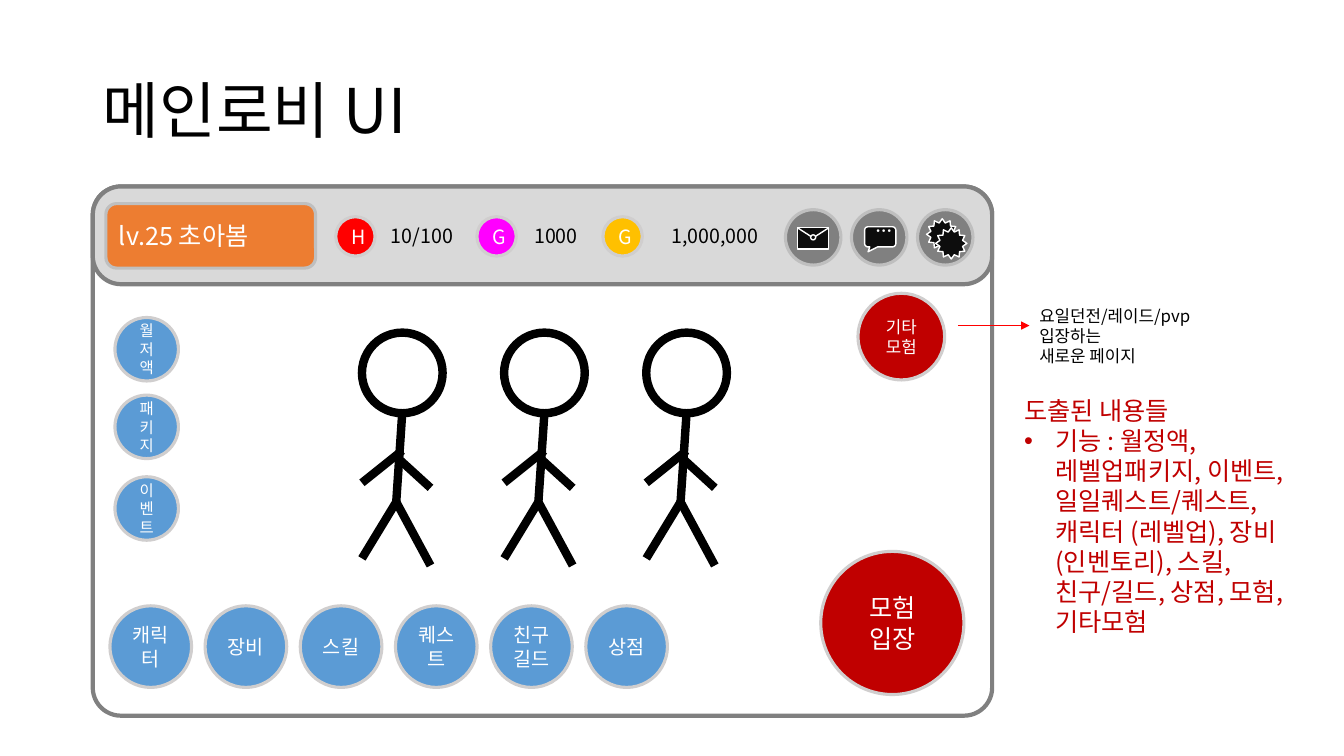
from lxml.etree import SubElement
from pptx import Presentation
from pptx.dml.color import RGBColor
from pptx.enum.shapes import MSO_CONNECTOR, MSO_SHAPE
from pptx.enum.text import MSO_ANCHOR, PP_ALIGN
from pptx.oxml.ns import qn
from pptx.util import Inches, Pt

FONT = "Noto Sans CJK KR"
BLACK = RGBColor(0x00, 0x00, 0x00)
WHITE = RGBColor(0xFF, 0xFF, 0xFF)
INK = RGBColor(0x0D, 0x0D, 0x0D)
GRAY = RGBColor(0x80, 0x80, 0x80)
SILVER = RGBColor(0xBF, 0xBF, 0xBF)
BAR_GRAY = RGBColor(0xD9, 0xD9, 0xD9)
RIM = RGBColor(0xD0, 0xCE, 0xCE)
RED = RGBColor(0xFF, 0x00, 0x00)
DARK_RED = RGBColor(0xC0, 0x00, 0x00)
BLUE = RGBColor(0x5B, 0x9B, 0xD5)
MAGENTA = RGBColor(0xFF, 0x00, 0xFF)
GOLD = RGBColor(0xFF, 0xC0, 0x00)
ORANGE = RGBColor(0xED, 0x7D, 0x31)


def write_text(shape, text, size, color, align=PP_ALIGN.LEFT, anchor=MSO_ANCHOR.TOP, bold=False):
    """Fill the shape with one paragraph per line of text."""
    frame = shape.text_frame
    frame.text = text
    frame.word_wrap = True
    frame.vertical_anchor = anchor
    for paragraph in frame.paragraphs:
        paragraph.alignment = align
        for run in paragraph.runs:
            for name, value in {"name": FONT, "size": Pt(size), "bold": bold}.items():
                setattr(run.font, name, value)
            run.font.color.rgb = color
            SubElement(run.font._element, qn("a:ea"), typeface=FONT)


def add_figure(slide, kind, box, fill, line, width, adjustments=()):
    shape = slide.shapes.add_shape(kind, *(Inches(length) for length in box))
    shape.shadow.inherit = False
    if fill is None:
        shape.fill.background()
    else:
        shape.fill.solid()
        shape.fill.fore_color.rgb = fill
    shape.line.color.rgb = line
    shape.line.width = Pt(width)
    for index, value in enumerate(adjustments):
        shape.adjustments[index] = value
    return shape


def add_button(slide, left, top, size, fill, text, text_size):
    button = add_figure(slide, MSO_SHAPE.OVAL, (left, top, size, size), fill, RIM, 2.25)
    write_text(button, text, text_size, WHITE, PP_ALIGN.CENTER, MSO_ANCHOR.MIDDLE)


def add_label(slide, box, text, size, color):
    label = slide.shapes.add_textbox(*(Inches(length) for length in box))
    write_text(label, text, size, color)
    return label


def add_line(slide, start, end, color, width):
    line = slide.shapes.add_connector(
        MSO_CONNECTOR.STRAIGHT, *(Inches(length) for length in (*start, *end)))
    line.line.color.rgb = color
    line.line.width = Pt(width)
    SubElement(line._element.spPr, qn("a:effectLst"))
    return line


def add_title(slide, left, top, width, height):
    title = slide.shapes.title
    box = {"left": left, "top": top, "width": width, "height": height}
    for name, value in box.items():
        setattr(title, name, Inches(value))
    write_text(title, "메인로비 UI", 44, BLACK, anchor=MSO_ANCHOR.MIDDLE)
    title.text_frame.paragraphs[0].line_spacing = 0.9


def add_stick_person(slide, left, top):
    add_figure(slide, MSO_SHAPE.OVAL, (left, top, 0.8, 0.8), None, BLACK, 6)
    neck, hip = (0.4, 0.79), (0.34, 1.68)
    limbs = [(neck, hip), (hip, (0, 2.24)), (hip, (0.68, 2.31)),
             ((0.4, 1.17), (0, 1.49)), ((0.34, 1.23), (0.68, 1.54))]
    for start, end in limbs:
        add_line(slide, (left + start[0], top + start[1]),
                 (left + end[0], top + end[1]), BLACK, 6)


def add_lobby(slide, left, top, width, height):
    add_figure(slide, MSO_SHAPE.ROUNDED_RECTANGLE, (left, top, width, height),
               None, GRAY, 3, [0.053])
    for index in range(3):
        add_stick_person(slide, left + 2.67 + 1.41 * index, top + 1.45)
    add_button(slide, left + 7.22, top + 3.62, 1.42, DARK_RED, "모험\n입장", 18)
    add_button(slide, left + 7.59, top + 1.06, 0.86, DARK_RED, "기타\n모험", 12)
    menu = ["캐릭터", "장비", "스킬", "퀘스트", "친구\n길드", "상점"]
    for index, text in enumerate(menu):
        add_button(slide, left + 0.17 + 0.944 * index, top + 4.16, 0.81, BLUE, text, 14)
    for offset, text in [(1.3, "월저액"), (2.07, "패키지"), (2.88, "이벤트")]:
        add_button(slide, left + 0.22, top + offset, 0.63, BLUE, text, 11)


def add_mail_icon(slide, left, top):
    width, height = 0.31, 0.21
    add_figure(slide, MSO_SHAPE.RECTANGLE, (left, top, width, height), INK, WHITE, 1)
    fold = (left + width / 2, top + 0.1)
    for corner in (left, left + width):
        add_line(slide, (corner, top), fold, WHITE, 1)
    add_figure(slide, MSO_SHAPE.OVAL, (left + 0.13, top + 0.07, 0.05, 0.05), INK, WHITE, 1)


def add_chat_icon(slide, left, top):
    bubble = add_figure(slide, MSO_SHAPE.ROUNDED_RECTANGULAR_CALLOUT,
                        (left, top, 0.31, 0.2), INK, WHITE, 1, [-0.389, 0.741, 0.167])
    write_text(bubble, "…", 12, WHITE, PP_ALIGN.CENTER, MSO_ANCHOR.BOTTOM, True)


def add_settings_icon(slide, left, top):
    for shift in (0, 0.09):
        add_figure(slide, MSO_SHAPE.STAR_12_POINT,
                   (left + shift, top + shift, 0.31, 0.31), INK, WHITE, 1)


def add_status_bar(slide, left, top, width, height):
    add_figure(slide, MSO_SHAPE.ROUNDED_RECTANGLE, (left, top, width, height),
               BAR_GRAY, GRAY, 3, [0.291])
    player = add_figure(slide, MSO_SHAPE.ROUNDED_RECTANGLE,
                        (left + 0.13, top + 0.17, 2.08, 0.64), ORANGE, SILVER, 2.25)
    write_text(player, "lv.25 초아봄", 18, WHITE, anchor=MSO_ANCHOR.MIDDLE)

    resources = [(2.41, RED, "H", 2.86, 0.86, "10/100"),
                 (3.81, MAGENTA, "G", 4.28, 0.66, "1000"),
                 (5.06, GOLD, "G", 5.64, 1.12, "1,000,000")]
    for coin_x, color, letter, amount_x, amount_width, amount in resources:
        add_button(slide, left + coin_x, top + 0.3, 0.39, color, letter, 14)
        label = add_label(slide, (left + amount_x, top + 0.32, amount_width, 0.34),
                          amount, 14, BLACK)
        label.text_frame.word_wrap = False

    icons = [(add_mail_icon, 0.12, 0.18), (add_chat_icon, 0.13, 0.17),
             (add_settings_icon, 0.09, 0.09)]
    for index, (add_icon, shift_x, shift_y) in enumerate(icons):
        x, y = left + 6.87 + 0.655 * index, top + 0.23
        add_figure(slide, MSO_SHAPE.OVAL, (x, y, 0.55, 0.55), GRAY, SILVER, 2.25)
        add_icon(slide, x + shift_x, y + shift_y)


def add_callout(slide, left, top, width, height):
    """Place the explanation and the arrow that reaches its left side."""
    note = add_label(slide, (left, top, width, height),
                     "요일던전/레이드/pvp 입장하는\n새로운 페이지", 12, BLACK)
    middle = top + height / 2
    arrow = add_line(slide, (left - 0.71, middle), (left, middle), RED, 0.5)
    arrow.end_connect(note, 1)
    SubElement(arrow.line._get_or_add_ln(), qn("a:tailEnd"), type="triangle")


def add_findings(slide, left, top, width, height):
    features = ("기능 : 월정액, 레벨업패키지, 이벤트, 일일퀘스트/퀘스트, 캐릭터 (레벨업), "
                "장비 (인벤토리), 스킬, 친구/길드, 상점, 모험, 기타모험")
    box = add_label(slide, (left, top, width, height),
                    "도출된 내용들\n" + features, 18, DARK_RED)
    properties = box.text_frame.paragraphs[1]._p.get_or_add_pPr()
    indent = Inches(0.31)
    properties.set("marL", str(indent))
    properties.set("indent", str(-indent))
    SubElement(properties, qn("a:buFont"), typeface="Arial")
    SubElement(properties, qn("a:buChar"), char="•")


def main():
    presentation = Presentation()
    presentation.slide_width = Inches(13.33)
    presentation.slide_height = Inches(7.5)
    slide = presentation.slides.add_slide(presentation.slide_layouts[5])
    add_title(slide, 0.92, 0.4, 11.5, 1.45)
    add_lobby(slide, 0.92, 1.85, 8.92, 5.25)
    add_status_bar(slide, 0.92, 1.85, 8.92, 0.97)
    add_callout(slide, 10.21, 2.98, 2.34, 0.5)
    add_findings(slide, 10.06, 3.87, 3.16, 2.22)
    presentation.save("out.pptx")


if __name__ == "__main__":
    main()
